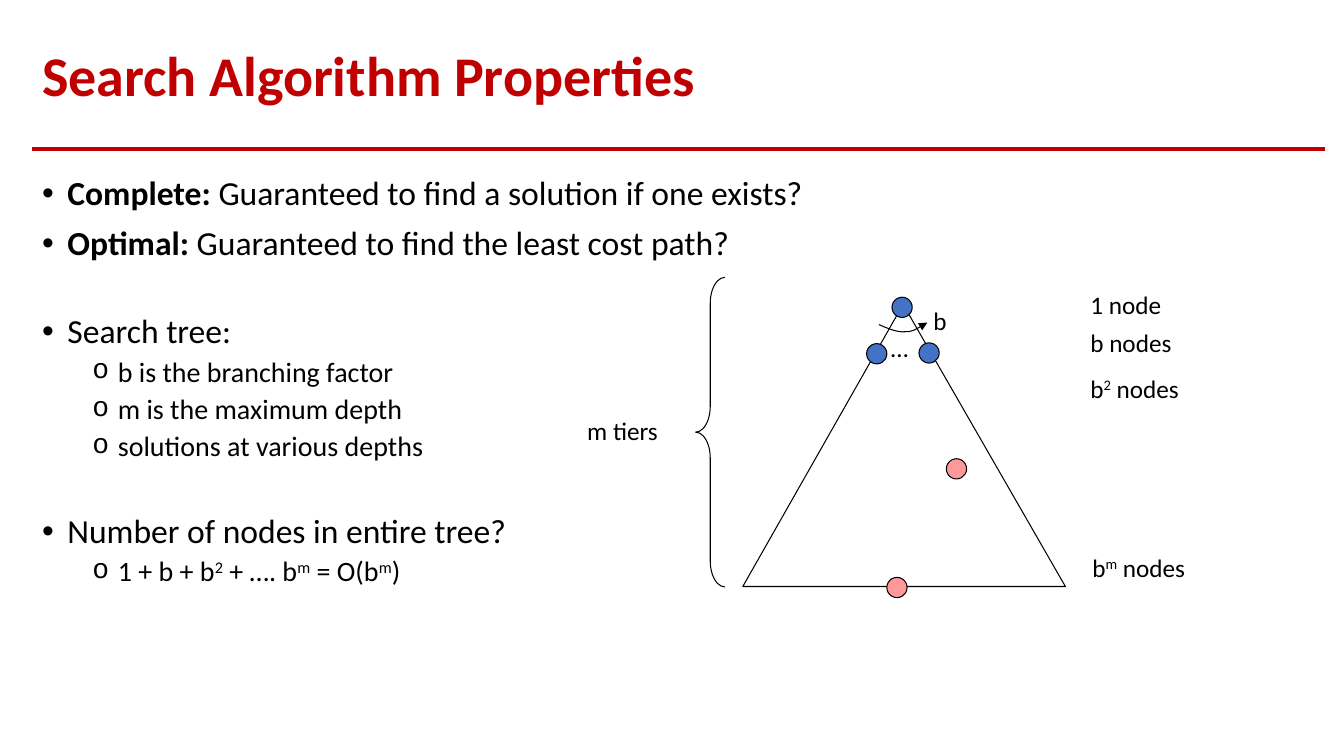
from dataclasses import dataclass

from lxml import etree
from pptx import Presentation
from pptx import util as u
from pptx.dml.color import RGBColor
from pptx.enum import shapes, text
from pptx.oxml.ns import qn

Cm, Pt = u.Cm, u.Pt


@dataclass(frozen=True)
class Theme:
    font: str = "Calibri"
    red: str = "C00000"
    black: str = "000000"
    blue: str = "4472C4"
    pink: str = "FF9999"
    head: int = 40
    main: int = 24
    sub: int = 20
    label: int = 18
    thin: float = 0.75
    thick: float = 2.5


LOOK = Theme()
DOT = 0.51

# Level, bold lead, text, space before; odd parts between bars are raised.
POINTS = [
    (0, "Complete: ", "Guaranteed to find a solution if one exists?", 10),
    (0, "Optimal: ", "Guaranteed to find the least cost path?", 10),
    (0, "", "Search tree:", 37),
    (1, "", "b is the branching factor", 5),
    (1, "", "m is the maximum depth", 5),
    (1, "", "solutions at various depths", 5),
    (0, "", "Number of nodes in entire tree?", 37),
    (1, "", "1 + b + b|2| + …. b|m| = O(b|m|)", 5),
]
NODES = [
    (22.48, 7.49, LOOK.blue),
    (21.84, 8.66, LOOK.blue),
    (23.16, 8.64, LOOK.blue),
    (22.35, 14.55, LOOK.pink),
    (23.85, 11.56, LOOK.pink),
]
LABELS = [
    (22.2, 8.26, 0.76, "…"),
    (23.27, 7.57, 0.84, "b"),
    (27.23, 7.16, 3.1, "1 node"),
    (27.23, 8.13, 3.1, "b nodes"),
    (27.23, 9.27, 3.1, "b|2| nodes"),
    (27.28, 13.79, 4.06, "b|m| nodes"),
    (14.55, 10.34, 3.51, "m tiers"),
]
CONE = [(18.72, 14.78), (26.85, 14.78), (22.76, 7.67)]
ARC = [(22.15, 8.18), (22.38, 8.28), (22.61, 8.38), (22.81, 8.36),
       (23.01, 8.36), (23.19, 8.23), (23.37, 8.13)]


def style(font, size, color=LOOK.black):
    font.name, font.size = LOOK.font, Pt(size)
    font.color.rgb = RGBColor.from_string(color)


def write(para, words):
    """Add words to para, raising each odd part between bars."""
    for i, part in enumerate(words.split("|")):
        run = para.add_run()
        run.text = part
        if i % 2:
            run._r.get_or_add_rPr().set("baseline", "30000")


def outline(shape, fill=None):
    shape.shadow.inherit = False
    shape.line.color.rgb = RGBColor.from_string(LOOK.black)
    shape.line.width = Pt(LOOK.thin)
    if fill:
        shape.fill.solid()
        shape.fill.fore_color.rgb = RGBColor.from_string(fill)
    else:
        shape.fill.background()


def add_box(slide, *area):
    frame = slide.shapes.add_textbox(*map(Cm, area)).text_frame
    frame.word_wrap = True
    return frame


def add_title(slide, words):
    title = slide.shapes.title
    title.left, title.top, title.width, title.height = map(
        Cm, (0.81, 0.71, 32.56, 2.54))
    frame = title.text_frame
    frame.text = words
    frame.auto_size = text.MSO_AUTO_SIZE.NONE
    frame.vertical_anchor = text.MSO_ANCHOR.MIDDLE
    para = frame.paragraphs[0]
    para.alignment = text.PP_ALIGN.LEFT
    para.line_spacing = 0.9
    style(para.font, LOOK.head, LOOK.red)
    para.font.bold = True


def add_rule(slide):
    rule = slide.shapes.add_connector(
        shapes.MSO_CONNECTOR.STRAIGHT, Cm(0.81), Cm(3.76), Cm(33.38), Cm(3.76))
    rule.line.color.rgb = RGBColor.from_string(LOOK.red)
    rule.line.width = Pt(LOOK.thick)
    etree.SubElement(rule._element.spPr, qn("a:effectLst"))


def add_points(slide):
    frame = add_box(slide, 0.81, 4.32, 31.6, 13.13)
    for i, (level, lead, words, gap) in enumerate(POINTS):
        para = frame.add_paragraph() if i else frame.paragraphs[0]
        para.level = level
        para.line_spacing, para.space_before = 0.9, Pt(gap)
        style(para.font, LOOK.sub if level else LOOK.main)
        if lead:
            run = para.add_run()
            run.text = lead
            run.font.bold = True
        write(para, words)
        props = para._p.get_or_add_pPr()
        props.set("marL", str(Cm(1.91 if level else 0.64)))
        props.set("indent", str(-Cm(0.64)))
        face, mark = ("Courier New", "o") if level else ("Arial", "•")
        for tag, key, value in (("a:buFont", "typeface", face),
                                ("a:buChar", "char", mark)):
            # Bullet parts stand just ahead of the default run settings.
            item = etree.Element(qn(tag), {key: value})
            props.find(qn("a:defRPr")).addprevious(item)


def add_path(slide, points, close):
    spots = [(Cm(x), Cm(y)) for x, y in points]
    pen = slide.shapes.build_freeform(*spots[0])
    pen.add_line_segments(spots[1:], close=close)
    shape = pen.convert_to_shape()
    outline(shape)
    return shape


def add_arc(slide):
    """Draw the curved arrow, taking each three points as one Bezier."""
    arc = add_path(slide, ARC, False)
    steps = list(arc._element.iter(qn("a:lnTo")))
    for i in range(0, len(steps), 3):
        curve = etree.Element(qn("a:cubicBezTo"))
        steps[i].addprevious(curve)
        for step in steps[i:i + 3]:
            curve.append(step[0])
            step.getparent().remove(step)
    etree.SubElement(arc.line._get_or_add_ln(), qn("a:tailEnd"),
                     {"type": "triangle"})


def add_node(slide, left, top, fill):
    node = slide.shapes.add_shape(
        shapes.MSO_SHAPE.OVAL, Cm(left), Cm(top), Cm(DOT), Cm(DOT))
    outline(node, fill)


def add_brace(slide):
    brace = slide.shapes.add_shape(
        shapes.MSO_SHAPE.LEFT_BRACE, Cm(17.53), Cm(6.99), Cm(0.74), Cm(7.8))
    brace.adjustments[0] = 0.88
    outline(brace)


def add_label(slide, left, top, width, words):
    para = add_box(slide, left, top, width, 1.02).paragraphs[0]
    style(para.font, LOOK.label)
    write(para, words)


def main():
    deck = Presentation()
    deck.slide_width, deck.slide_height = Cm(33.87), Cm(19.05)
    slide = deck.slides.add_slide(deck.slide_layouts.get_by_name("Title Only"))
    add_rule(slide)
    add_title(slide, "Search Algorithm Properties")
    add_points(slide)
    add_path(slide, CONE, True)
    for node in NODES:
        add_node(slide, *node)
    add_arc(slide)
    add_brace(slide)
    for label in LABELS:
        add_label(slide, *label)
    deck.save("out.pptx")


if __name__ == "__main__":
    main()
